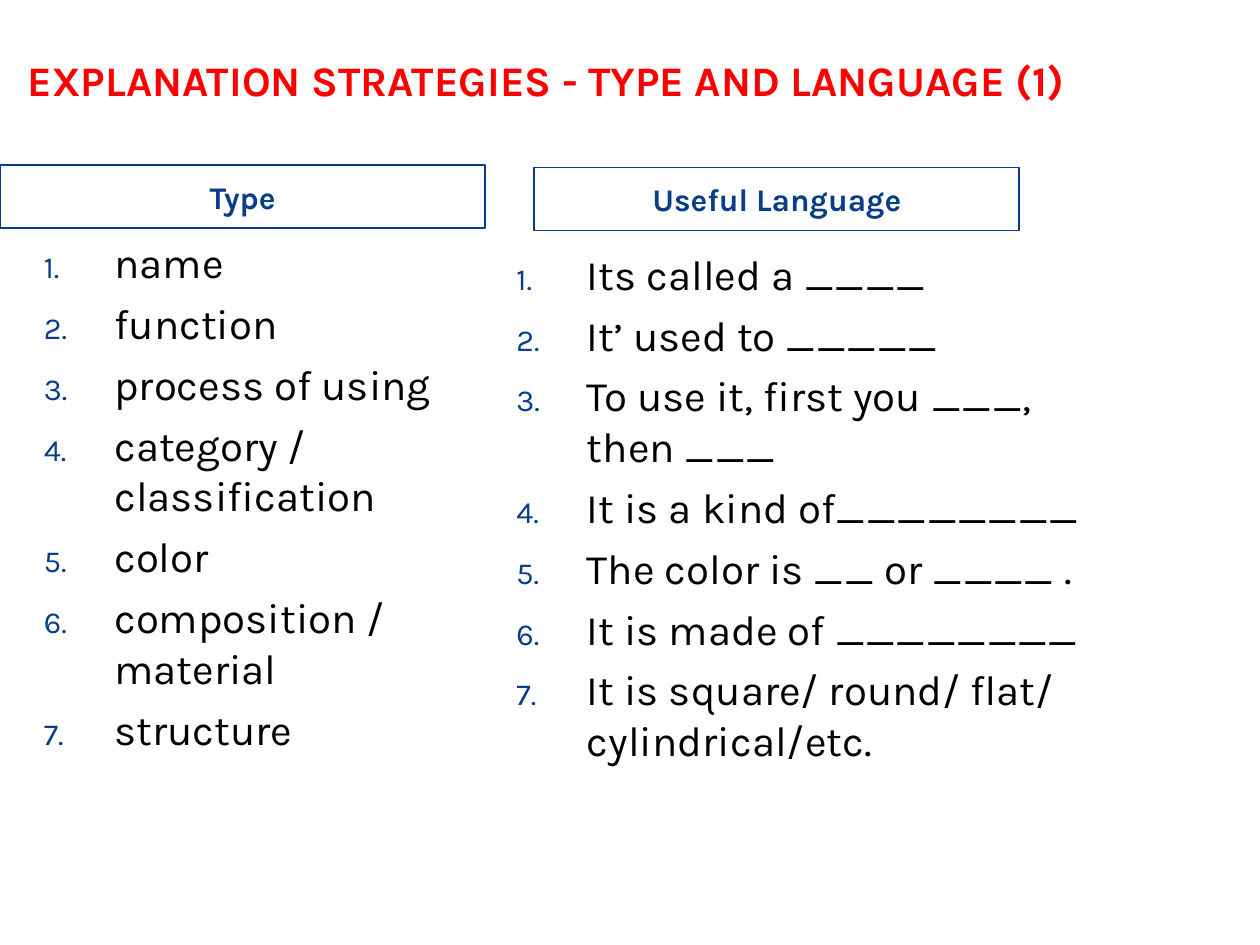
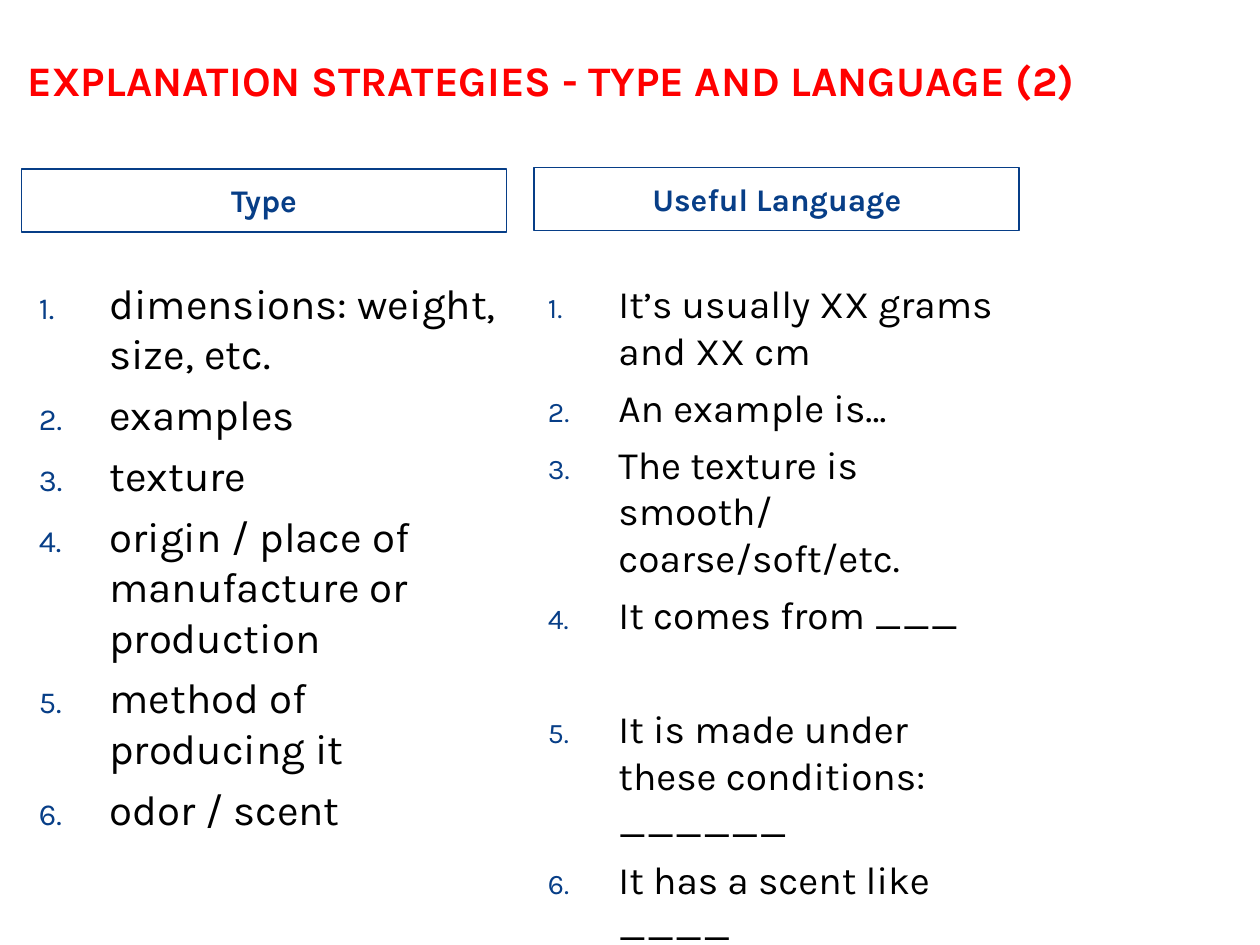
import pptx
import pptx.dml.color
import pptx.enum.shapes
import pptx.enum.text
import pptx.oxml.ns
import pptx.util
from lxml import etree

FONT = "Karla"
RED, NAVY, BLACK = "FF0000", "073E87", "000000"
HEADER_SIZE = (3.85, 0.5)
LANGUAGE_HEADER_AT = (4.24, 1.33)
ITEM_SPACING = 6
LIST_INDENT = 0.56
ANCHOR = pptx.enum.text.MSO_ANCHOR
ALIGN = pptx.enum.text.PP_ALIGN

TITLE_FORMAT = {"size": pptx.util.Pt(24), "bold": True}
HEADER_FORMAT = {"size": pptx.util.Pt(18), "bold": True}

# Each list: box, text size, items, extra space (pt) before an item by its index.
SLIDES = [
    {
        "number": 1,
        "type_header_at": (0, 1.31),
        "lists": [
            ((0.25, 1.83, 4, 4.42), 24, [
                "name", "function", "process of using",
                "category / classification", "color",
                "composition / material", "structure"], {}),
            ((4, 1.92, 4.92, 4.5), 24, [
                "Its called a ____", "It’ used to _____",
                "To use it, first you ___, then ___",
                "It is a kind of________", "The color is __ or ____ .",
                "It is made of ________",
                "It is square/ round/ flat/ cylindrical/etc."], {}),
        ],
    },
    {
        "number": 2,
        "type_header_at": (0.17, 1.34),
        "lists": [
            ((0.21, 2.15, 3.88, 4.42), 24, [
                "dimensions: weight, size, etc.", "examples", "texture",
                "origin / place of manufacture or production",
                "method of producing it", "odor / scent"], {}),
            ((4.25, 2.17, 3.85, 4.5), 22.2, [
                "It’s usually XX grams and XX cm", "An example is…",
                "The texture is smooth/ coarse/soft/etc.",
                "It comes from ___",
                "It is made under these conditions: ______",
                "It has a scent like ____"], {4: 32.6}),
        ],
    },
]


def color(hex_string):
    return pptx.dml.color.RGBColor.from_string(hex_string)


def inches(values):
    return [pptx.util.Inches(v) for v in values]


def set_attributes(target, values):
    for name, value in values.items():
        setattr(target, name, value)


def add_run(p, text, font_color, font_format):
    r = p.add_run()
    r.text = text
    set_attributes(r.font, {"name": FONT, **font_format})
    r.font.color.rgb = color(font_color)


def number_paragraph(p):
    """Give the paragraph a small navy automatic number with a hanging indent."""
    pPr = p._p.get_or_add_pPr()
    indent = pptx.util.Inches(LIST_INDENT)
    pPr.set("marL", str(indent))
    pPr.set("indent", str(-indent))
    qn = pptx.oxml.ns.qn
    bullet_color = etree.SubElement(pPr, qn("a:buClr"))
    etree.SubElement(bullet_color, qn("a:srgbClr"), val=NAVY)
    etree.SubElement(pPr, qn("a:buSzPct"), val="73000")
    etree.SubElement(pPr, qn("a:buFont"), typeface=FONT)
    etree.SubElement(pPr, qn("a:buAutoNum"), type="arabicPeriod")


def add_title(s, text):
    tf = s.shapes.add_textbox(*inches((0.17, 0.25, 8.67, 0.58))).text_frame
    side = pptx.util.Inches(0.05)
    set_attributes(tf, {
        "word_wrap": True, "vertical_anchor": ANCHOR.BOTTOM,
        "margin_left": side, "margin_right": side,
        "margin_top": 0, "margin_bottom": 0})
    add_run(tf.paragraphs[0], text, RED, TITLE_FORMAT)


def add_header(s, at, text):
    sp = s.shapes.add_shape(pptx.enum.shapes.MSO_SHAPE.RECTANGLE,
                            *inches(at + HEADER_SIZE))
    sp.shadow.inherit = False
    sp.fill.background()
    sp.line.color.rgb = color(NAVY)
    sp.line.width = pptx.util.Pt(1)
    tf = sp.text_frame
    set_attributes(tf, {"word_wrap": True, "vertical_anchor": ANCHOR.MIDDLE})
    p = tf.paragraphs[0]
    set_attributes(p, {"alignment": ALIGN.CENTER,
                       "space_before": pptx.util.Pt(ITEM_SPACING)})
    add_run(p, text, NAVY, HEADER_FORMAT)


def add_numbered_list(s, box, size, items, extra_space):
    tf = s.shapes.add_textbox(*inches(box)).text_frame
    tf.word_wrap = True
    for i, item in enumerate(items):
        p = tf.add_paragraph() if i else tf.paragraphs[0]
        p.space_before = pptx.util.Pt(ITEM_SPACING + extra_space.get(i, 0))
        number_paragraph(p)
        add_run(p, item, BLACK, {"size": pptx.util.Pt(size)})


def add_strategy_slide(prs, content):
    s = prs.slides.add_slide(prs.slide_layouts[6])
    add_title(s, "EXPLANATION STRATEGIES - TYPE AND LANGUAGE "
                 f"({content['number']})")
    add_header(s, content["type_header_at"], "Type")
    add_header(s, LANGUAGE_HEADER_AT, "Useful Language")
    for numbered_list in content["lists"]:
        add_numbered_list(s, *numbered_list)


def main():
    prs = pptx.Presentation()
    prs.slide_width, prs.slide_height = inches((10, 7.5))
    for content in SLIDES:
        add_strategy_slide(prs, content)
    prs.save("out.pptx")


if __name__ == "__main__":
    main()
